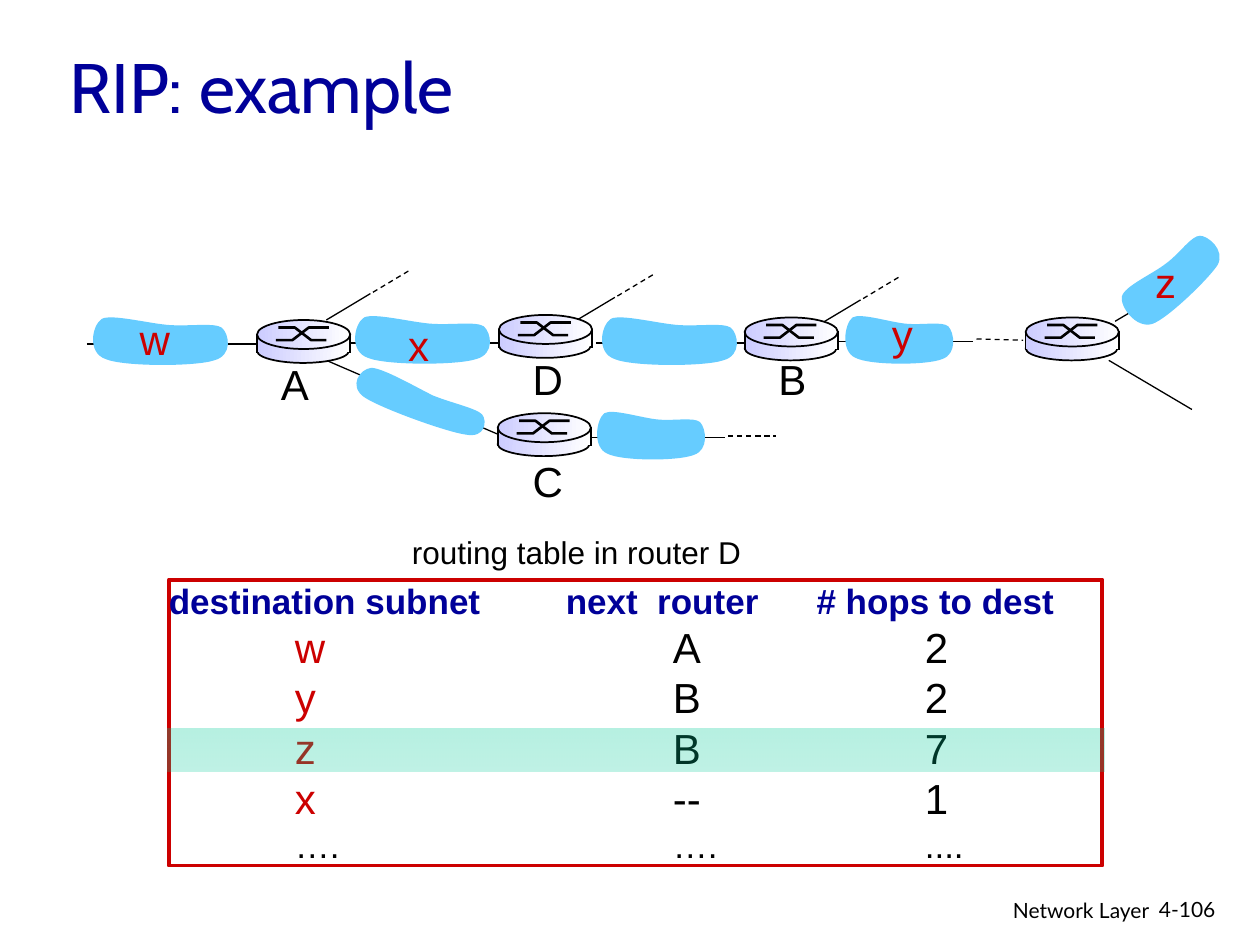
import math

import pptx
import pptx.dml.color
import pptx.enum.dml
import pptx.enum.shapes
import pptx.enum.text
import pptx.oxml
import pptx.oxml.ns
import pptx.util
from pptx.util import Inches

BLACK, RED, NAVY = "000000", "CC0000", "000099"
SUBNET_BLUE, HIGHLIGHT = "66CCFF", "00CC99"
ROUTER_SHADES = ("FFFFFF", "CCCCFF")

# Subnet outlines: a start point, then two control points and an end per curve
FLAT_SUBNET = [(0.66, 0.09), (0.5, 0.08), (0.2, 0), (0.12, 0.04),
               (0.04, 0.09), (0, 0.31), (0.15, 0.36),
               (0.29, 0.42), (0.86, 0.42), (1.01, 0.37),
               (1.16, 0.33), (1.13, 0.16), (1.07, 0.11),
               (1.01, 0.07), (0.82, 0.1), (0.66, 0.09)]
SUBNET_TO_C = [(3.44, 3.14), (3.3, 3.07), (3.04, 2.92), (2.95, 2.92),
               (2.86, 2.93), (2.77, 3.06), (2.89, 3.15),
               (3.02, 3.24), (3.55, 3.43), (3.7, 3.45),
               (3.86, 3.48), (3.87, 3.34), (3.83, 3.29),
               (3.78, 3.24), (3.59, 3.2), (3.44, 3.14)]
SUBNET_Z = [(9.25, 2.09), (9.15, 2.17), (8.92, 2.27), (8.9, 2.35),
            (8.88, 2.43), (9.01, 2.61), (9.14, 2.57),
            (9.26, 2.53), (9.59, 2.21), (9.66, 2.1),
            (9.72, 1.98), (9.58, 1.87), (9.52, 1.87),
            (9.45, 1.87), (9.36, 2.01), (9.25, 2.09)]


def rgb(color):
    return pptx.dml.color.RGBColor.from_string(color)


def write_text(paragraph, text, size=24, color=BLACK, font="Arial", bold=False):
    run = paragraph.add_run()
    run.text = text
    run.font.name, run.font.size, run.font.bold = font, pptx.util.Pt(size), bold
    run.font.color.rgb = rgb(color)


def add_label(slide, text, left, top, width, height, align="LEFT",
              anchor="TOP", wrap=False, **text_format):
    label = slide.shapes.add_textbox(*map(Inches, (left, top, width, height)))
    frame = label.text_frame
    frame.word_wrap = wrap
    frame.vertical_anchor = getattr(pptx.enum.text.MSO_ANCHOR, anchor)
    paragraph = frame.paragraphs[0]
    paragraph.alignment = getattr(pptx.enum.text.PP_ALIGN, align)
    write_text(paragraph, text, **text_format)


def add_link(parent, start, end, width=0.75, dashed=False):
    link = parent.shapes.add_connector(
        pptx.enum.shapes.MSO_CONNECTOR.STRAIGHT, *map(Inches, (*start, *end)))
    link.line.color.rgb = rgb(BLACK)
    link.line.width = pptx.util.Pt(width)
    if dashed:
        link.line.dash_style = pptx.enum.dml.MSO_LINE.DASH
    link._element.spPr.append(pptx.oxml.parse_xml(
        "<a:effectLst %s/>" % pptx.oxml.ns.nsdecls("a")))


def add_outline(parent, points, close):
    corners = [(Inches(x), Inches(y)) for x, y in points]
    builder = parent.shapes.build_freeform(*corners[0])
    builder.add_line_segments(corners[1:], close=close)
    outline = builder.convert_to_shape()
    outline.shadow.inherit = False
    return outline


def bend_segments(outline):
    """Join each three straight segments into one Bezier curve."""
    segments = list(outline._element.spPr.iter(pptx.oxml.ns.qn("a:lnTo")))
    for i in range(0, len(segments) - 2, 3):
        curve = pptx.oxml.parse_xml(
            "<a:cubicBezTo %s/>" % pptx.oxml.ns.nsdecls("a"))
        segments[i].addprevious(curve)
        for segment in segments[i:i + 3]:
            curve.append(segment[0])
            segment.getparent().remove(segment)


def add_subnet(slide, outline, angle=0, center=(0, 0)):
    """Draw a subnet; a tilted outline is levelled, then turned as a shape."""
    cos, sin = math.cos(math.radians(angle)), math.sin(math.radians(angle))
    cx, cy = center
    level = [(cx + (x - cx) * cos + (y - cy) * sin,
              cy - (x - cx) * sin + (y - cy) * cos) for x, y in outline]
    subnet = add_outline(slide, level, close=True)
    bend_segments(subnet)
    subnet.fill.solid()
    subnet.fill.fore_color.rgb = rgb(SUBNET_BLUE)
    subnet.line.fill.background()
    subnet.rotation = angle


def add_flat_subnet(slide, left, top, stretch=1):
    add_subnet(slide, [(left + x * stretch, top + y) for x, y in FLAT_SUBNET])


def add_gradient_shape(parent, kind, box, colors, angle, outlined=False):
    shape = parent.shapes.add_shape(
        getattr(pptx.enum.shapes.MSO_SHAPE, kind), *map(Inches, box))
    shape.shadow.inherit = False
    shape.fill.gradient()
    shape.fill.gradient_angle = angle
    for stop, color in zip(shape.fill.gradient_stops, colors):
        stop.color.rgb = rgb(color)
    if outlined:
        shape.line.color.rgb = rgb(BLACK)
        shape.line.width = pptx.util.Pt(1)
    else:
        shape.line.fill.background()
    return shape


def add_router(slide, left, top):
    router = slide.shapes.add_group_shape()
    for kind, y, width, height in (("OVAL", 0.15, 0.73, 0.19),
                                   ("RECTANGLE", 0.13, 0.74, 0.12),
                                   ("OVAL", 0, 0.74, 0.23)):
        add_gradient_shape(router, kind, (left, top + y, width, height),
                           ROUTER_SHADES, 180, outlined=kind == "OVAL")
    # Crossing paths on the lid
    for xs, start_y, end_y in (((0.15, 0.28, 0.41, 0.57), 0.16, 0.06),
                               ((0.17, 0.3, 0.43, 0.55), 0.06, 0.16)):
        ys = (start_y, start_y, end_y, end_y)
        crossing = add_outline(
            router, [(left + x, top + y) for x, y in zip(xs, ys)], close=False)
        crossing.fill.background()
        crossing.line.color.rgb = rgb(BLACK)
        crossing.line.width = pptx.util.Pt(1.5)
    for x in (left, left + 0.74):
        add_link(router, (x, top + 0.11), (x, top + 0.26), width=1)


def add_spur(slide, x, y):
    spur = slide.shapes.add_group_shape()
    add_link(spur, (x, y), (x + 0.35, y - 0.21))
    add_link(spur, (x + 0.37, y - 0.22), (x + 0.67, y - 0.4), dashed=True)


def set_tabs(paragraph, stops):
    tabs = "".join('<a:tab pos="%d" algn="l"/>' % Inches(stop) for stop in stops)
    paragraph._p.get_or_add_pPr().append(pptx.oxml.parse_xml(
        "<a:tabLst %s>%s</a:tabLst>" % (pptx.oxml.ns.nsdecls("a"), tabs)))


def add_routing_table(slide):
    table = slide.shapes.add_shape(pptx.enum.shapes.MSO_SHAPE.RECTANGLE,
                                   *map(Inches, (1.34, 4.6, 7.41, 2.27)))
    table.shadow.inherit = False
    table.fill.background()
    table.line.color.rgb = rgb(RED)
    table.line.width = pptx.util.Pt(2.25)
    frame = table.text_frame
    frame.vertical_anchor = pptx.enum.text.MSO_ANCHOR.TOP
    frame.margin_left = frame.margin_right = 0
    frame.margin_top = frame.margin_bottom = 0
    header = frame.paragraphs[0]
    set_tabs(header, (3.15, 5.14))
    write_text(header, "destination subnet\tnext  router\t# hops to dest",
               size=20, color=NAVY, bold=True)
    rows = (("w", "A", "2"), ("y", "B", "2"), ("z", "B", "7"),
            ("x", "--", "1"), ("….", "….", "...."))
    for subnet, next_router, hops in rows:
        row = frame.add_paragraph()
        set_tabs(row, (1, 4, 6))
        last = subnet == "…."
        size = 20 if last else 24
        write_text(row, "\t" + subnet, size=size, color=BLACK if last else RED)
        write_text(row, f"\t{next_router}\t{hops}", size=size)
    for paragraph in frame.paragraphs:
        paragraph.alignment = pptx.enum.text.PP_ALIGN.LEFT


def add_highlight(slide):
    band = add_gradient_shape(slide, "RECTANGLE", (1.33, 5.78, 7.44, 0.34),
                              (HIGHLIGHT, HIGHLIGHT), 270)
    colors = band._element.spPr.iter(pptx.oxml.ns.qn("a:srgbClr"))
    for color, percent in zip(colors, (29, 25)):
        color.append(pptx.oxml.parse_xml('<a:alpha %s val="%d"/>' % (
            pptx.oxml.ns.nsdecls("a"), percent * 1000)))


def main():
    deck = pptx.Presentation()
    deck.slide_width, deck.slide_height = Inches(10), Inches(7.5)
    slide = deck.slides.add_slide(deck.slide_layouts[6])

    # Footer and title
    add_label(slide, "Network Layer", 6.05, 7.07, 3.17, 0.31, align="RIGHT",
              wrap=True, size=12, font="Lato")
    add_label(slide, "4-106", 9.1, 7.07, 0.74, 0.3, wrap=True, size=12, font="Lato")
    add_label(slide, "RIP: example", 0.45, 0.21, 4.31, 0.94, anchor="MIDDLE",
              wrap=True, size=40, color=NAVY, font="Cabin")

    # Routing table
    add_routing_table(slide)
    add_label(slide, "routing table in router D", 3.17, 4.18, 2.81, 0.4, size=18)

    # Links between routers
    for left, y in ((2.77, 2.72), (4.73, 2.72), (0.69, 2.73)):
        add_link(slide, (left, y), (left + 1.36, y), width=1)
    for start, end in (((6.65, 2.71), (7.72, 2.71)), ((8.85, 2.55), (9.51, 2.16)),
                       ((8.8, 2.86), (9.46, 3.25)), ((2.59, 2.86), (3.96, 3.45)),
                       ((4.68, 3.47), (5.75, 3.47))):
        add_link(slide, start, end)
    for start, end in (((7.75, 2.69), (8.12, 2.7)), ((5.78, 3.46), (6.16, 3.46))):
        add_link(slide, start, end, dashed=True)
    for x, y in ((6.48, 2.59), (4.53, 2.57), (2.59, 2.54)):
        add_spur(slide, x, y)

    # Subnets
    for left, top, stretch in ((2.77, 2.48, 1), (0.69, 2.49, 1), (4.73, 2.49, 1),
                               (6.67, 2.48, 0.8), (4.7, 3.24, 0.8)):
        add_flat_subnet(slide, left, top, stretch)
    add_subnet(slide, SUBNET_TO_C, angle=19.7, center=(3.34, 3.2))
    add_subnet(slide, SUBNET_Z, angle=316.8, center=(9.29, 2.22))

    # Subnet and router names
    for name, left, top, width in (("w", 1.01, 2.44, 0.44), ("x", 3.14, 2.49, 0.36),
                                   ("y", 6.98, 2.4, 0.36), ("z", 9.07, 1.99, 0.36)):
        add_label(slide, name, left, top, width, 0.5, color=RED)
    for name, left, top, width in (("A", 2.13, 2.8, 0.42), ("C", 4.13, 3.57, 0.44),
                                   ("D", 4.13, 2.76, 0.44), ("B", 6.08, 2.76, 0.42)):
        add_label(slide, name, left, top, width, 0.5)

    # Highlighted row and routers
    add_highlight(slide)
    for left, top in ((3.96, 2.5), (5.91, 2.52), (8.14, 2.52), (3.95, 3.28), (2.04, 2.54)):
        add_router(slide, left, top)

    deck.save("out.pptx")


if __name__ == "__main__":
    main()
